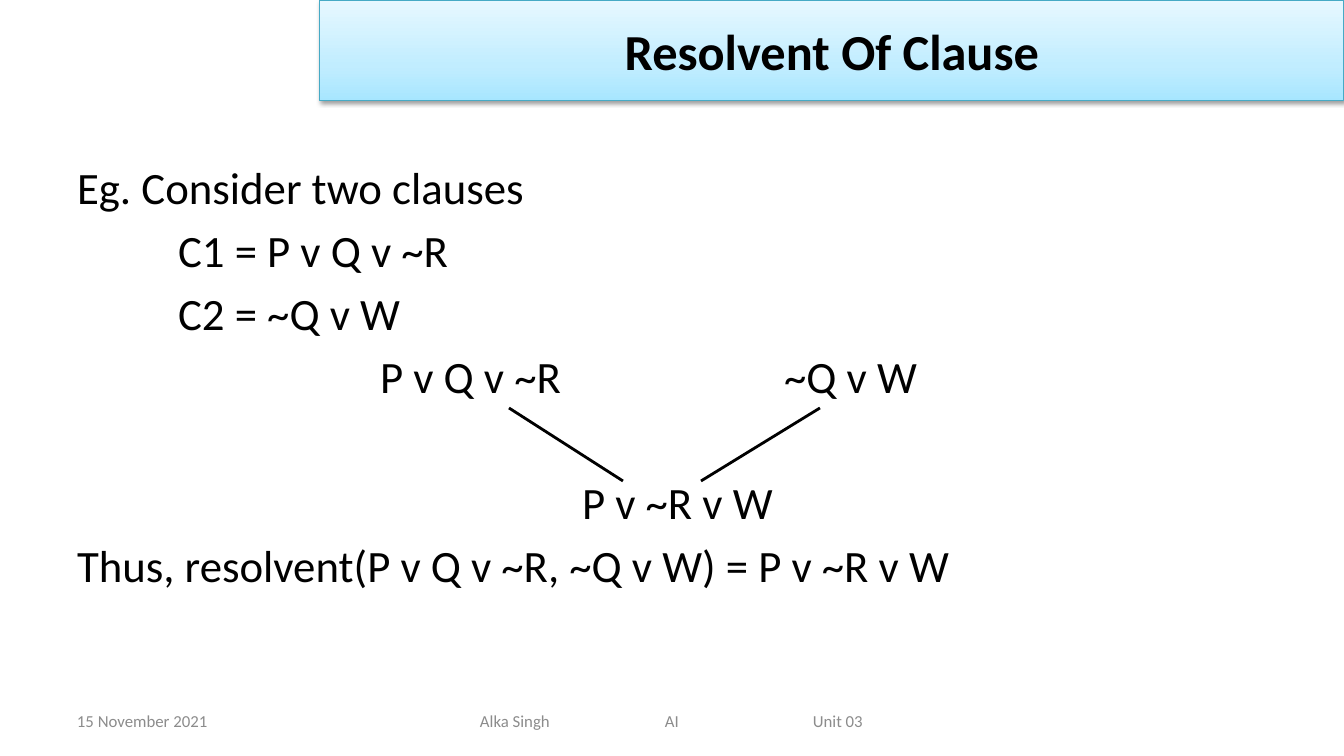
import pptx
import pptx.util
import pptx.dml.color
import pptx.enum.shapes
import pptx.enum.text
import pptx.oxml
import pptx.oxml.ns
from dataclasses import dataclass
from lxml import etree

TITLE = "Resolvent Of Clause"
BODY = [
    ("Eg. Consider two clauses", 6.4),
    ("\tC1 = P v Q v ~R", 6.4),
    ("\tC2 = ~Q v W", 6.4),
    ("\t\t\tP v Q v ~R\t\t\t~Q v W", 6.4),
    ("\t\t\t\t\tP v ~R v W", 51.8),
    ("Thus, resolvent(P v Q v ~R, ~Q v W) = P v ~R v W", 6.4),
]
FOOTERS = [
    ((67, 701, 313, 40), 10, "15 November 2021"),
    ((460, 701, 425, 40), 20, "Alka Singh\t\t\t\tAI\t\t\t\tUnit 03"),
]
BRANCHES = [((509, 408), (623, 481)), ((820, 408), (701, 481))]
TITLE_BOX = (320, 0, 1024, 101)
BODY_BOX = (67, 155, 1210, 520)
BODY_TAB = 101
FOOTER_TAB = 37


@dataclass(frozen=True)
class Theme:
    font: str = "Calibri"
    ink: str = "000000"
    muted: str = "8C8C8C"
    border: str = "46AAC5"
    banner: tuple = ((0, "A7E6FF"), (35, "C1EDFF"), (100, "E7F8FF"))
    title_size: int = 36
    body_size: int = 32
    footer_size: int = 12


THEME = Theme()


def px(length):
    return round(length * 914400 / 100.8)


def color(code):
    return pptx.dml.color.RGBColor.from_string(code)


def child(parent, tag, **attributes):
    values = {name: str(value) for name, value in attributes.items()}
    return etree.SubElement(parent, pptx.oxml.ns.qn(tag), values)


def place(shape, box):
    shape.left, shape.top, shape.width, shape.height = map(px, box)


def add_span(para, text, size, ink, bold=False):
    span = para.add_run()
    span.text = text
    span.font.name = THEME.font
    span.font.size = pptx.util.Pt(size)
    span.font.bold = bold
    span.font.color.rgb = color(ink)


def write_line(para, text, tab, size, ink, before=0):
    para.space_before = pptx.util.Pt(before)
    properties = para._p.get_or_add_pPr()
    properties.set("marL", "0")
    properties.set("indent", "0")
    properties.set("defTabSz", str(px(tab)))
    child(properties, "a:buNone")
    add_span(para, text, size, ink)


def style_banner(banner):
    banner.fill.gradient()
    banner.fill.gradient_angle = 90
    stops = banner._element.spPr.find(".//" + pptx.oxml.ns.qn("a:gsLst"))
    for stop in list(stops):
        stops.remove(stop)
    for position, code in THEME.banner:
        child(child(stops, "a:gs", pos=position * 1000), "a:srgbClr", val=code)
    banner.line.color.rgb = color(THEME.border)
    banner.line.width = pptx.util.Pt(0.75)
    banner.shadow.inherit = False
    effects = banner._element.spPr.find(pptx.oxml.ns.qn("a:effectLst"))
    shadow = child(effects, "a:outerShdw", blurRad=pptx.util.Pt(3.1),
                   dist=pptx.util.Pt(1.6), dir=5400000, rotWithShape=0)
    child(child(shadow, "a:srgbClr", val=THEME.ink), "a:alpha", val=38000)


def add_title(page):
    banner = page.shapes.title
    place(banner, TITLE_BOX)
    style_banner(banner)
    frame = banner.text_frame
    frame.auto_size = pptx.enum.text.MSO_AUTO_SIZE.NONE
    frame.vertical_anchor = pptx.enum.text.MSO_ANCHOR.MIDDLE
    para = frame.paragraphs[0]
    para.alignment = pptx.enum.text.PP_ALIGN.CENTER
    add_span(para, TITLE, THEME.title_size, THEME.ink, bold=True)


def add_body(page):
    body = page.placeholders[1]
    place(body, BODY_BOX)
    frame = body.text_frame
    frame.auto_size = pptx.enum.text.MSO_AUTO_SIZE.NONE
    for index, (text, before) in enumerate(BODY):
        para = frame.add_paragraph() if index else frame.paragraphs[0]
        write_line(para, text, BODY_TAB, THEME.body_size, THEME.ink, before)


def add_footers(page):
    for box, inset, text in FOOTERS:
        frame = page.shapes.add_textbox(*map(px, box)).text_frame
        frame.word_wrap = True
        frame.margin_left = px(inset)
        frame.vertical_anchor = pptx.enum.text.MSO_ANCHOR.MIDDLE
        write_line(frame.paragraphs[0], text, FOOTER_TAB, THEME.footer_size, THEME.muted)


def add_branches(page):
    straight = pptx.enum.shapes.MSO_CONNECTOR.STRAIGHT
    for start, end in BRANCHES:
        branch = page.shapes.add_connector(straight, *map(px, start + end))
        branch.line.color.rgb = color(THEME.ink)
        branch.line.width = pptx.util.Pt(2)
        child(branch._element.spPr, "a:effectLst")


def main():
    deck = pptx.Presentation()
    deck.slide_width, deck.slide_height = px(1344), px(756)
    page = deck.slides.add_slide(deck.slide_layouts[1])
    add_title(page)
    add_body(page)
    add_footers(page)
    add_branches(page)
    deck.save("out.pptx")


if __name__ == "__main__":
    main()
